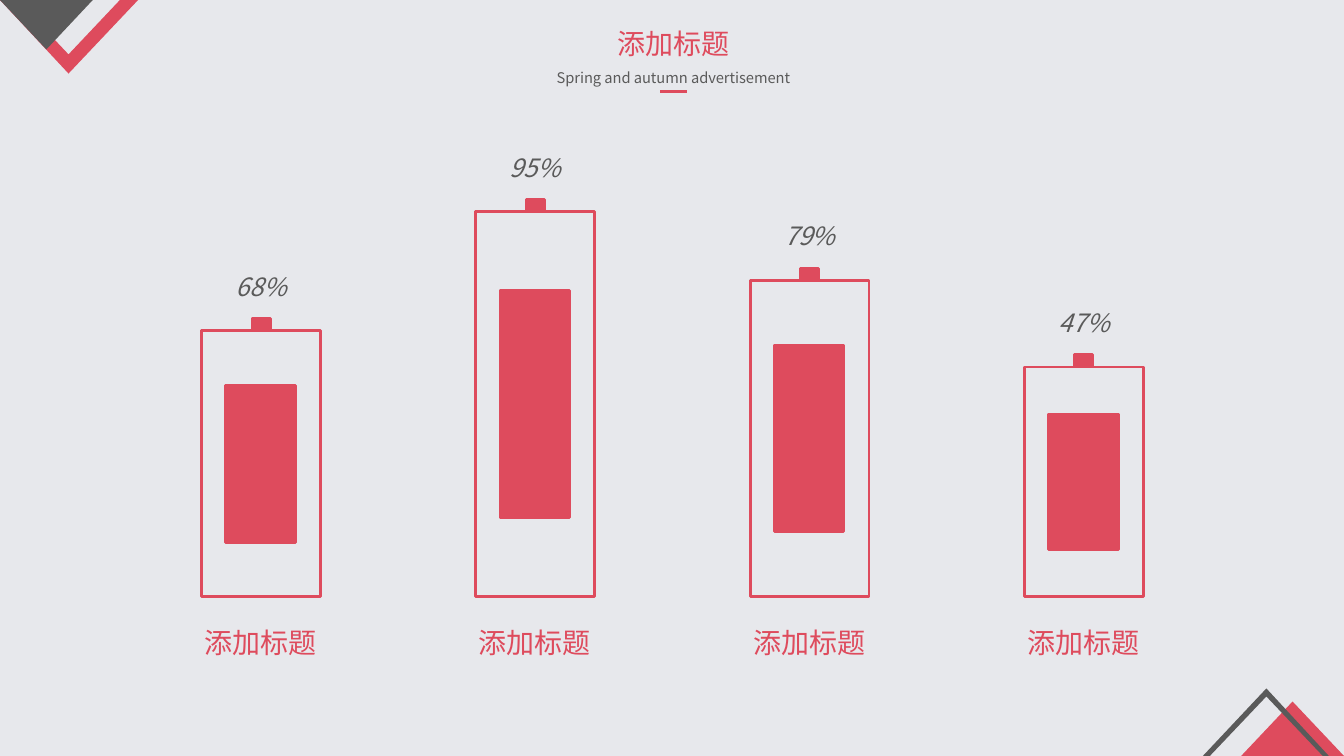
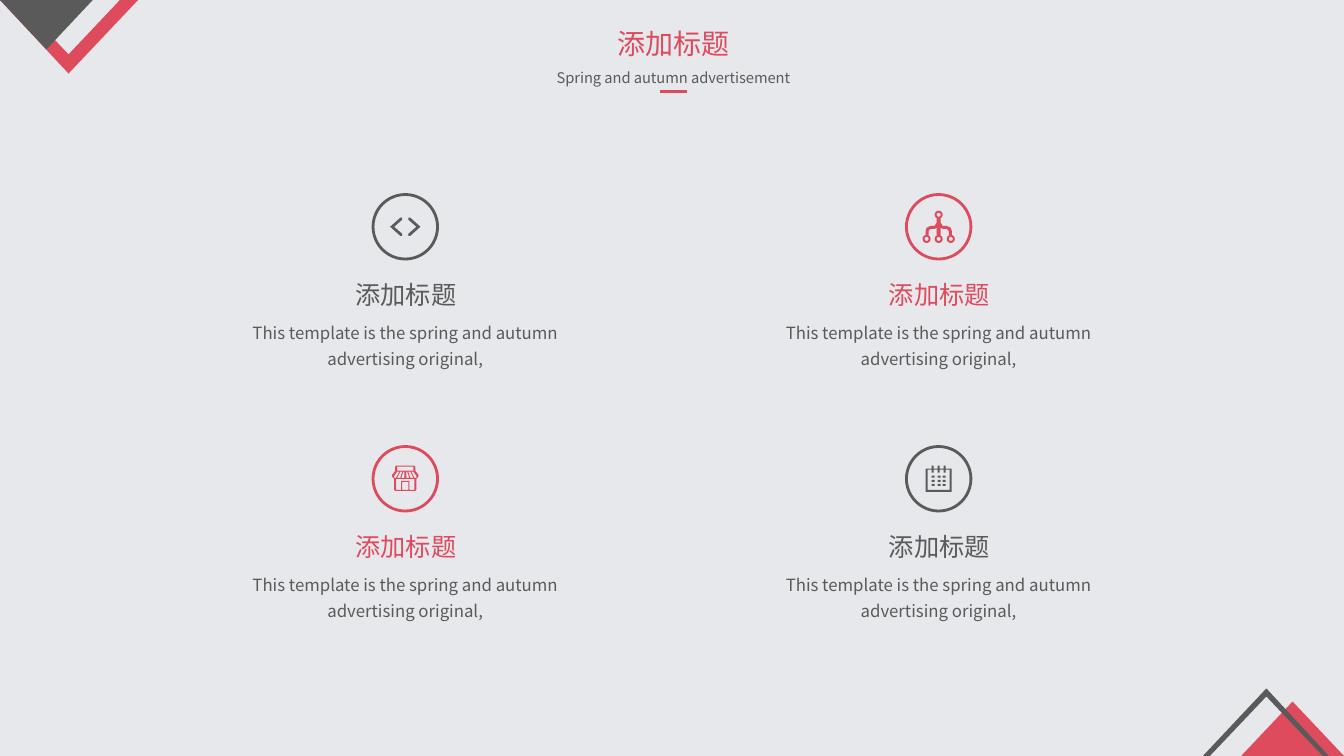
"""Build two slides: a battery chart of percentages and a grid of four icon cards."""
import math

import lxml.etree
import pptx
import pptx.dml.color
import pptx.enum.shapes
import pptx.enum.text
import pptx.oxml.ns
import pptx.util

Inches = pptx.util.Inches
RGBColor = pptx.dml.color.RGBColor
SHAPE = pptx.enum.shapes.MSO_SHAPE
qn = pptx.oxml.ns.qn

RED = RGBColor(0xDE, 0x4B, 0x5D)
GRAY = RGBColor(0x5A, 0x5A, 0x5A)
PALE = RGBColor(0xE7, 0xE8, 0xEC)
FONT = "Noto Sans CJK SC"
HEADING = "添加标题"


def draw(s, form, box, fill=None, line=None):
    """Add a preset shape in a box, or closed contours around an origin."""
    if isinstance(form, list):
        contours = [[(Inches(box[0] + x), Inches(box[1] + y)) for x, y in c] for c in form]
        fb = s.shapes.build_freeform(*contours[0][0])
        fb.add_line_segments(contours[0][1:], close=True)
        for c in contours[1:]:
            fb.move_to(*c[0])
            fb.add_line_segments(c[1:], close=True)
        sp = fb.convert_to_shape()
    else:
        sp = s.shapes.add_shape(form, *map(Inches, box))
    sp.shadow.inherit = False
    for part, color in ((sp.fill, fill), (sp.line.fill, line)):
        if color is None:
            part.background()
        else:
            part.solid()
            part.fore_color.rgb = color
    if line is not None:
        sp.line.width = pptx.util.Pt(2)


def write(s, text, box, size, color, sp=None, wrap=True, italic=None, spacing=None):
    """Write one centred paragraph in a new text box or a given placeholder."""
    sp = sp or s.shapes.add_textbox(0, 0, 0, 0)
    sp.left, sp.top, sp.width, sp.height = map(Inches, box)
    frame = {"word_wrap": wrap, "vertical_anchor": pptx.enum.text.MSO_ANCHOR.TOP,
             "auto_size": pptx.enum.text.MSO_AUTO_SIZE.SHAPE_TO_FIT_TEXT}
    for key, value in frame.items():
        setattr(sp.text_frame, key, value)
    p = sp.text_frame.paragraphs[0]
    p.alignment = pptx.enum.text.PP_ALIGN.CENTER
    p.line_spacing = spacing
    r = p.add_run()
    r.text = text
    for key, value in {"name": FONT, "size": pptx.util.Pt(size), "italic": italic}.items():
        setattr(r.font, key, value)
    r.font.color.rgb = color
    lxml.etree.SubElement(r._r.get_or_add_rPr(), qn("a:ea"), typeface=FONT)


prs = pptx.Presentation()
prs.slide_width, prs.slide_height = Inches(13.33), Inches(7.5)
prs.slide_master.background.fill.solid()
prs.slide_master.background.fill.fore_color.rgb = PALE

corners = [
    (RED, [(0.68, 0.73), (1.37, 0), (1.19, 0), (0.68, 0.54), (0.17, 0), (0, 0)]),
    (GRAY, [(0.46, 0.49), (0.92, 0), (0, 0)]),
    (RED, [(12.82, 6.96), (12.31, 7.5), (13.33, 7.5)]),
    (GRAY, [(13.18, 7.5), (13.12, 7.5), (12.56, 6.91), (12, 7.5), (11.93, 7.5), (12.56, 6.83)]),
]
for _ in range(2):
    s = prs.slides.add_slide(prs.slide_layouts[5])
    for color, corner in corners:
        draw(s, [corner], (0, 0), fill=color)
    write(s, HEADING, (6.02, 0.21, 1.32, 0.44), 20, RED, sp=s.shapes.title, wrap=False)
    write(s, "Spring and autumn advertisement", (4.93, 0.58, 3.5, 0.31), 10.5, GRAY, spacing=1.3)
    rule = s.shapes.add_connector(pptx.enum.shapes.MSO_CONNECTOR.STRAIGHT,
                                  Inches(6.55), Inches(0.91), Inches(6.81), Inches(0.91))
    rule.line.color.rgb = RED
    rule.line.width = pptx.util.Pt(1.75)
    lxml.etree.SubElement(rule._element.spPr, qn("a:effectLst"))
battery_slide, card_slide = prs.slides

floor = 5.92
for i, (percent, height) in enumerate([("68%", 2.64), ("95%", 3.82), ("79%", 3.14), ("47%", 2.28)]):
    x, top = 2 + 2.72 * i, floor - height
    charge = 0.59 * height
    draw(battery_slide, SHAPE.RECTANGLE, (x, top, 1.18, height), line=RED)
    draw(battery_slide, SHAPE.RECTANGLE, (x + 0.24, top + (height - charge) / 2, 0.69, charge), RED, RED)
    draw(battery_slide, SHAPE.RECTANGLE, (x + 0.5, top - 0.12, 0.18, 0.12), RED, RED)
    write(battery_slide, percent, (x, top - 0.64, 1.18, 0.4), 18, GRAY, italic=True)
    write(battery_slide, HEADING, (x - 0.09, 6.16, 1.35, 0.44), 20, RED)

chevron = [(-0.03, -0.09), (-0.05, -0.09), (-0.15, 0), (-0.05, 0.09),
           (-0.03, 0.09), (-0.03, 0.07), (-0.11, 0), (-0.03, -0.07)]
code = [chevron, [(-x, y) for x, y in chevron]]

branch = [(0.02, -0.08), (0.02, -0.04), (0.04, -0.01), (0.08, -0.01), (0.12, 0.01),
          (0.13, 0.04), (0.13, 0.08), (0.1, 0.08), (0.1, 0.04), (0.08, 0.02),
          (0.04, 0.02), (0.02, 0.01), (0.02, 0.08)]
network = [branch + [(-x, y) for x, y in reversed(branch)]]
for x, y in [(0, -0.12), (-0.12, 0.12), (0, 0.12), (0.12, 0.12)]:
    for radius in (0.04, 0.02):
        network.append([(x + radius * math.cos(math.pi * k / 8),
                         y + radius * math.sin(math.pi * k / 8)) for k in range(16)])

wall = [(0.09, -0.13), (0.1, -0.12), (0.1, -0.08), (0.13, -0.04), (0.13, -0.02),
        (0.11, 0), (0.11, 0.11), (0.1, 0.12)]
inside = [(0.09, 0), (0.09, 0.11), (0.04, 0.11), (0.04, 0.02)]
shop = [half + [(-x, y) for x, y in reversed(half)]
        for half in (wall, inside, [(0.08, -0.12), (0.08, -0.08)], [(0.03, 0.03), (0.03, 0.11)])]
for stripe in ([(0.06, -0.07), (0.08, -0.07), (0.11, -0.03), (0.11, -0.01), (0.09, -0.01)],
               [(0.03, -0.07), (0.05, -0.07), (0.08, -0.01), (0.05, -0.01)],
               [(0.01, -0.07), (0.02, -0.07), (0.04, -0.01), (0.01, -0.01)]):
    shop += [stripe, [(-x, y) for x, y in stripe]]

calendar = []
for side, top, bottom, tab in [(0.13, -0.1, 0.13, -0.13), (0.11, -0.09, 0.11, -0.06)]:
    edge = [(-side, top)]
    for x in (-0.06, 0, 0.06):
        edge += [(x - 0.01, top), (x - 0.01, tab), (x + 0.01, tab), (x + 0.01, top)]
    calendar.append(edge + [(side, top), (side, bottom), (-side, bottom)])
for x in (-0.07, -0.01, 0.04):
    for y in (-0.03, 0.01, 0.05):
        calendar.append([(x, y), (x + 0.03, y), (x + 0.03, y + 0.02), (x, y + 0.02)])

for i, (icon, color) in enumerate([(code, GRAY), (network, RED), (shop, RED), (calendar, GRAY)]):
    x, y = 4.02 + 5.29 * (i % 2), 2.25 + 2.5 * (i // 2)
    draw(card_slide, SHAPE.OVAL, (x - 0.32, y - 0.32, 0.64, 0.64), line=color)
    draw(card_slide, icon, (x, y), fill=color)
    write(card_slide, HEADING, (x - 0.69, y + 0.47, 1.39, 0.4), 18, color)
    write(card_slide, "This template is the spring and autumn advertising original,",
          (x - 1.78, y + 0.84, 3.56, 0.6), 12, GRAY, spacing=1.3)

prs.save("out.pptx")
